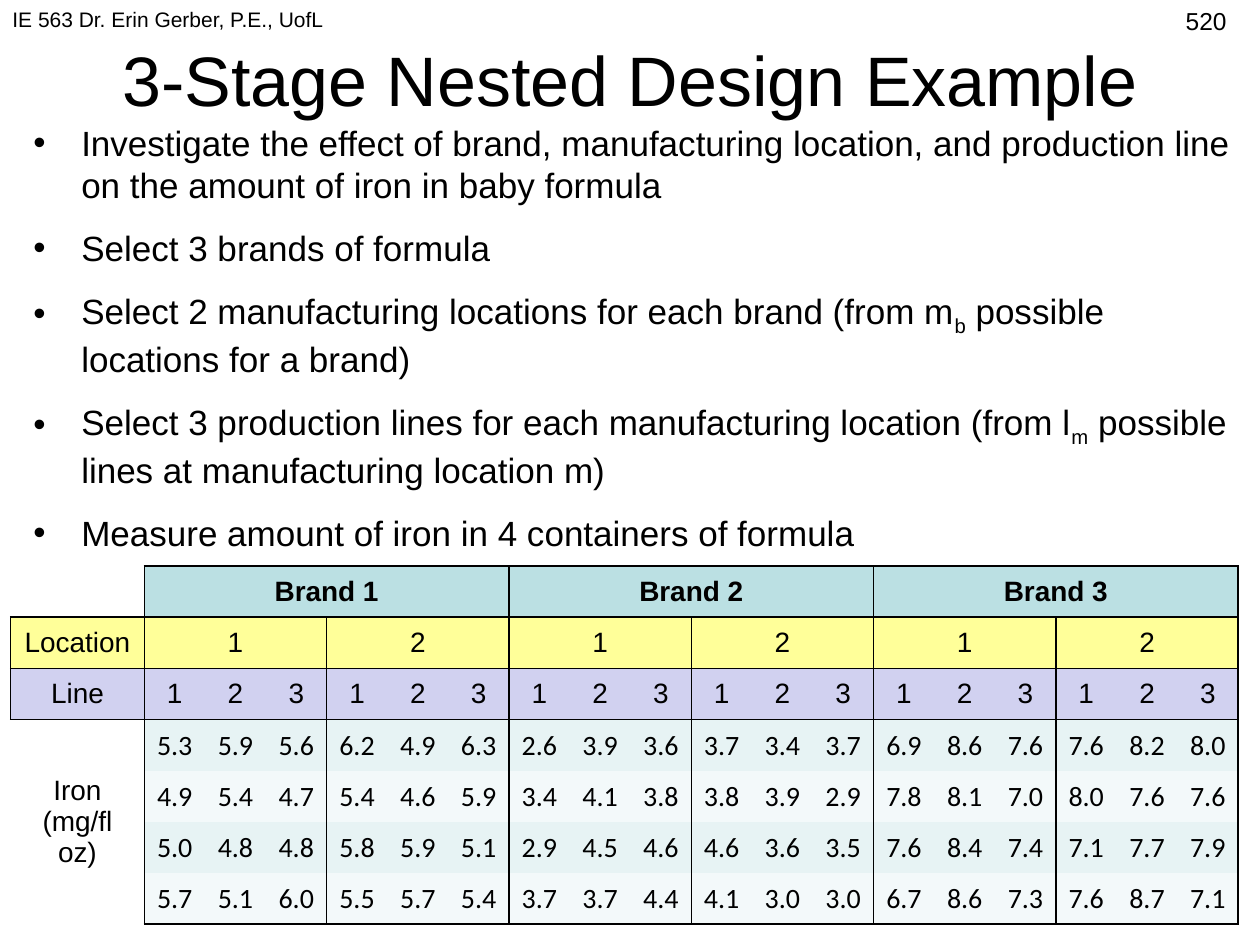
"""Builds the nested design example slide."""
from dataclasses import dataclass

from lxml import etree
from pptx import Presentation, util as u
from pptx.dml.color import RGBColor
from pptx.enum import text
from pptx.oxml import ns

TITLE = "3-Stage Nested Design Example"
STEPS = [
    "Investigate the effect of brand, manufacturing location, and production line "
    "on the amount of iron in baby formula",
    "Select 3 brands of formula",
    "Select 2 manufacturing locations for each brand (from m_b_ possible locations for a brand)",
    "Select 3 production lines for each manufacturing location (from l_m_ possible "
    "lines at manufacturing location m)",
    "Measure amount of iron in 4 containers of formula",
]
IRON = [row.split() for row in (
    "5.3 5.9 5.6 6.2 4.9 6.3 2.6 3.9 3.6 3.7 3.4 3.7 6.9 8.6 7.6 7.6 8.2 8.0",
    "4.9 5.4 4.7 5.4 4.6 5.9 3.4 4.1 3.8 3.8 3.9 2.9 7.8 8.1 7.0 8.0 7.6 7.6",
    "5.0 4.8 4.8 5.8 5.9 5.1 2.9 4.5 4.6 4.6 3.6 3.5 7.6 8.4 7.4 7.1 7.7 7.9",
    "5.7 5.1 6.0 5.5 5.7 5.4 3.7 3.7 4.4 4.1 3.0 3.0 6.7 8.6 7.3 7.6 8.7 7.1",
)]
BRANDS, LOCATIONS, LINES = 3, 2, 3
ALIGN, ANCHOR = text.PP_ALIGN, text.MSO_ANCHOR


@dataclass(frozen=True)
class Theme:
    """Colours, fonts and type sizes."""
    ink: str = "000000"
    brand: str = "BBE0E3"
    location: str = "FFFF99"
    line: str = "D1D1F0"
    bands: tuple = ("E7F3F4", "F3F9FA")
    font: str = "Arial"
    value_font: str = "Calibri"
    title: int = 40
    body: int = 20
    table: int = 16
    number: int = 14
    course: int = 12
    no_style: str = "{2D5ABB26-0587-4C30-8999-92F81FD0307C}"


def write(frame, lines, *, size, font, color, bold=False, align=ALIGN.LEFT, bullet=False, gap=0):
    """Write paragraphs into a frame; text between underscores is subscript."""
    for index, line in enumerate(lines):
        para = frame.add_paragraph() if index else frame.paragraphs[0]
        para.alignment = align
        if index:
            para.space_before = u.Pt(gap)
        if bullet:
            props = para._p.get_or_add_pPr()
            props.set("marL", str(u.Inches(0.38)))
            props.set("indent", str(u.Inches(-0.38)))
            etree.SubElement(props, ns.qn("a:buFont")).set("typeface", font)
            etree.SubElement(props, ns.qn("a:buChar")).set("char", "•")
        for part, words in enumerate(line.split("_")):
            span = para.add_run()
            span.text = words
            span.font.size, span.font.name, span.font.bold = u.Pt(size), font, bold
            span.font.color.rgb = RGBColor.from_string(color)
            if part % 2:
                span._r.get_or_add_rPr().set("baseline", "-25000")


class Page:
    """Holds the theme and the slide, measured on a grid of 120 columns by 90 rows."""

    def __init__(self, deck, theme):
        """Add a blank slide and work out the grid."""
        self.theme = theme
        self.slide = deck.slides.add_slide(deck.slide_layouts[6])
        self.column, self.row = deck.slide_width / 120, deck.slide_height / 90

    def place(self, left, top, width, height):
        """Turn grid units into slide lengths."""
        return [u.Emu(round(value * unit)) for value, unit in
                zip((left, top, width, height), (self.column, self.row) * 2)]

    def text(self, area, lines, size, anchor=ANCHOR.TOP, **style):
        """Add a wrapped text box."""
        frame = self.slide.shapes.add_textbox(*self.place(*area)).text_frame
        frame.word_wrap, frame.vertical_anchor = True, anchor
        write(frame, lines, size=size, font=self.theme.font, color=self.theme.ink, **style)

    def table(self, area, label_width, rows, columns):
        """Add an unstyled table with a wider first column."""
        left, top, width, height = self.place(*area)
        table = self.slide.shapes.add_table(rows, columns, left, top, width, height).table
        table._tbl.tblPr.find(ns.qn("a:tableStyleId")).text = self.theme.no_style
        table.first_row = table.horz_banding = False
        label = round(label_width * self.column)
        for index, column in enumerate(table.columns):
            column.width = u.Emu(label if index == 0 else (width - label) // (columns - 1))
        return table

    def borders(self, cell, sides):
        """Rule the named sides of a cell and clear the others."""
        for side in "LRTB":
            edge = etree.SubElement(cell._tc.get_or_add_tcPr(), ns.qn(f"a:ln{side}"))
            edge.set("w", str(u.Pt(1) if side in sides else 0))
            if side in sides:
                fill = etree.SubElement(edge, ns.qn("a:solidFill"))
                etree.SubElement(fill, ns.qn("a:srgbClr")).set("val", self.theme.ink)
            else:
                etree.SubElement(edge, ns.qn("a:noFill"))

    def cell(self, cell, words, fill=None, value=False, bold=False):
        """Fill a cell and centre its words."""
        cell.vertical_anchor = ANCHOR.MIDDLE
        if value:
            cell.margin_left = cell.margin_right = cell.margin_top = u.Inches(0.01)
            cell.margin_bottom = 0
        if fill:
            cell.fill.solid()
            cell.fill.fore_color.rgb = RGBColor.from_string(fill)
        else:
            cell.fill.background()
        if words:
            write(cell.text_frame, [words], size=self.theme.table, bold=bold,
                  font=self.theme.value_font if value else self.theme.font,
                  color=self.theme.ink, align=ALIGN.CENTER)


def cell_sides(row, column, last):
    """Name the ruled sides of a cell from its row and column."""
    if column == 0:
        return {0: "RB", 1: "LRTB", 2: "LRTB", 3: "RT"}.get(row, "R")
    group = LINES if row > 1 else 1
    rules = {"L": (column - 1) % group == 0, "R": column % group == 0,
             "T": row <= 3, "B": row < 3 or row == last}
    return [side for side, ruled in rules.items() if ruled]


def add_iron_table(page):
    """Add the iron readings under their brand, location and line."""
    theme, count = page.theme, BRANDS * LOCATIONS * LINES
    rows = 3 + len(IRON)
    table = page.table((1, 53.9, 117, 34.1), 12.75, rows, count + 1)
    for row in range(rows):
        for column in range(count + 1):
            page.borders(table.cell(row, column), cell_sides(row, column, rows - 1))
    table.cell(3, 0).merge(table.cell(rows - 1, 0))
    labels = ("", None), ("Location", theme.location), ("Line", theme.line), ("Iron (mg/fl oz)", None)
    for row, (words, fill) in enumerate(labels):
        page.cell(table.cell(row, 0), words, fill)
    for row, width in enumerate((LOCATIONS * LINES, LINES)):
        for group in range(count // width):
            start = table.cell(row, 1 + group * width)
            start.merge(table.cell(row, (group + 1) * width))
            if row == 0:
                page.cell(start, f"Brand {group + 1}", theme.brand, bold=True)
            else:
                page.cell(start, str(group % LOCATIONS + 1), theme.location)
    for column in range(count):
        page.cell(table.cell(2, column + 1), str(column % LINES + 1), theme.line)
        for row, readings in enumerate(IRON):
            page.cell(table.cell(row + 3, column + 1), readings[column],
                      theme.bands[row % 2], value=True)


def main():
    """Build and save the deck."""
    deck = Presentation()
    deck.slide_width, deck.slide_height = u.Inches(10), u.Inches(7.5)
    theme = Theme()
    page = Page(deck, theme)
    page.text((6, 0, 108, 15), [TITLE], theme.title, anchor=ANCHOR.MIDDLE, align=ALIGN.CENTER)
    page.text((2, 11, 118, 59.4), STEPS, theme.body, bullet=True, gap=12)
    page.text((0, 0, 50, 6.25), ["IE 563 Dr. Erin Gerber, P.E., UofL"], theme.course)
    page.text((90, 0, 28, 6.25), ["520"], theme.number, align=ALIGN.RIGHT)
    add_iron_table(page)
    deck.save("out.pptx")


if __name__ == "__main__":
    main()
